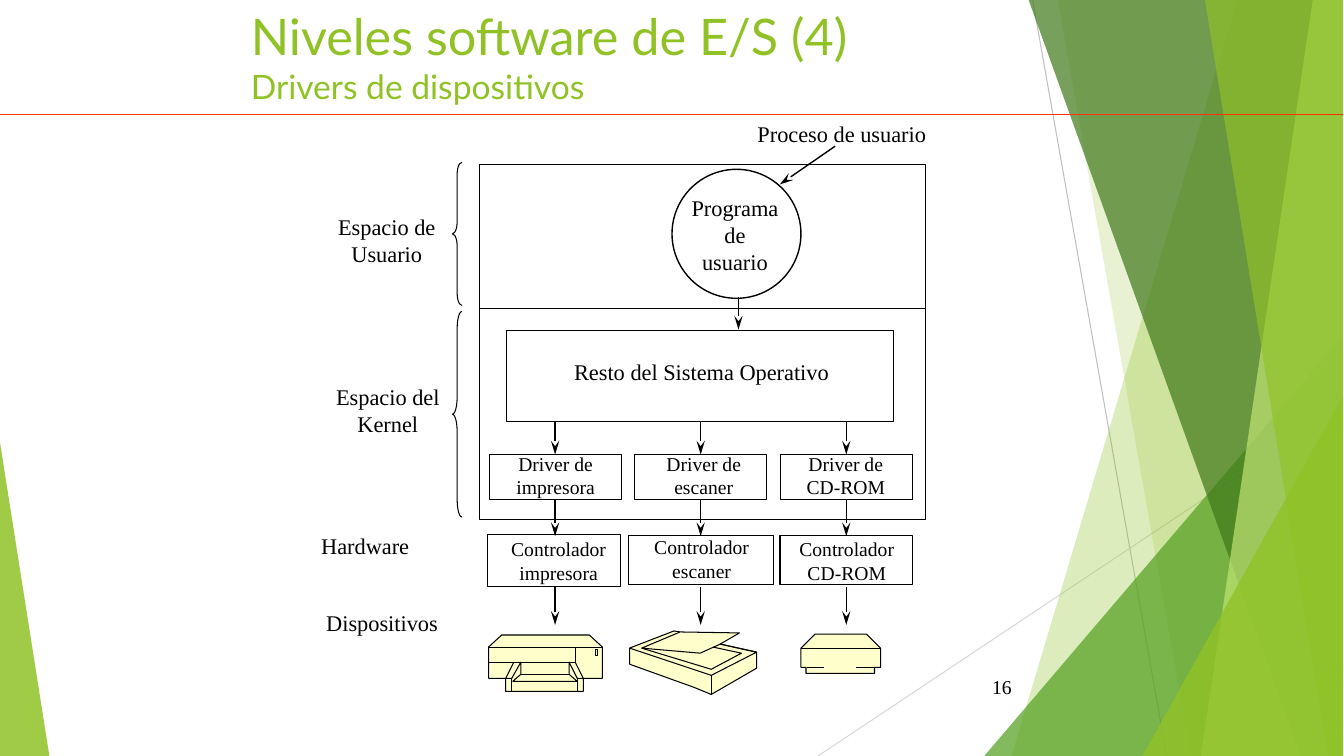
from dataclasses import dataclass
from lxml.etree import SubElement
from pptx import Presentation
from pptx.dml.color import RGBColor
from pptx.enum.shapes import MSO_CONNECTOR, MSO_SHAPE
from pptx.enum.text import MSO_ANCHOR, MSO_AUTO_SIZE, PP_ALIGN
from pptx.oxml.ns import qn
from pptx.util import Inches, Pt


@dataclass(frozen=True)
class Theme:
    lime: str = "90C226"
    leaf: str = "54A021"
    moss: str = "3F7819"
    pale: str = "C0E474"
    red: str = "FF3300"
    ink: str = "000000"
    cream: str = "FFFFCC"
    gray: str = "BFBFBF"
    mist: str = "D9D9D9"
    head: str = "Lato"
    body: str = "Times New Roman"
    title: int = 36
    sub: int = 24
    big: int = 16
    small: int = 14
    thin: float = 0.75
    bold: float = 1


THEME = Theme()
COLS, ROWS = 133.4, 75  # grid of square cells
EDGE = 133.3
LEFT, MID, RIGHT = PP_ALIGN.LEFT, PP_ALIGN.CENTER, PP_ALIGN.RIGHT


def cell(num):
    return Inches(num / 10)


def cells(*nums):
    return [cell(num) for num in nums]


def paint(shape, fill=None, alpha=100, line=None, width=THEME.thin):
    shape.shadow.inherit = False
    if fill:
        shape.fill.solid()
        shape.fill.fore_color.rgb = RGBColor.from_string(fill)
        if alpha < 100:
            color = shape.element.spPr.find(qn("a:solidFill"))[0]
            SubElement(color, qn("a:alpha"), val=str(alpha * 1000))
    else:
        shape.fill.background()
    if line:
        shape.line.color.rgb = RGBColor.from_string(line)
        shape.line.width = Pt(width)
    else:
        shape.line.fill.background()
    return shape


def preset(slide, kind, box, **look):
    return paint(slide.shapes.add_shape(kind, *cells(*box)), **look)


def outline(slide, *runs, close=False, **look):
    runs = [[cells(*spot) for spot in run] for run in runs]
    pen = slide.shapes.build_freeform(*runs[0][0], scale=1.0)
    for num, run in enumerate(runs):
        if num:
            pen.move_to(*run[0])
        pen.add_line_segments(run[1:], close=close)
    return paint(pen.convert_to_shape(), **look)


def rule(slide, start, end, color=THEME.ink, width=THEME.thin, arrow=False):
    line = slide.shapes.add_connector(
        MSO_CONNECTOR.STRAIGHT, *cells(*start, *end))
    line.line.color.rgb = RGBColor.from_string(color)
    line.line.width = Pt(width)
    props = line.element.spPr
    if arrow:
        SubElement(props.find(qn("a:ln")), qn("a:tailEnd"),
                   type="stealth", w="med", len="lg")
    SubElement(props, qn("a:effectLst"))


def arrow(slide, start, end):
    rule(slide, start, end, width=THEME.bold, arrow=True)


def text(shape, runs, font=THEME.body, color=THEME.ink, align=LEFT,
         anchor=MSO_ANCHOR.TOP):
    """Put (words, size) runs in one paragraph, one line per run."""
    frame = shape.text_frame
    frame.word_wrap = True
    frame.auto_size = MSO_AUTO_SIZE.NONE
    frame.vertical_anchor = anchor
    para = frame.paragraphs[0]
    para.alignment = align
    for num, (words, size) in enumerate(runs):
        if num:
            para.add_line_break()
        run = para.add_run()
        run.text = words
        run.font.name = font
        run.font.size = Pt(size)
        run.font.color.rgb = RGBColor.from_string(color)


def label(slide, words, box, size=THEME.big, **form):
    text(slide.shapes.add_textbox(*cells(*box)), [(words, size)], **form)


def backdrop(slide):
    rule(slide, (102.5, 0), (115.8, ROWS), THEME.gray)
    rule(slide, (EDGE, 40.3), (81.2, ROWS), THEME.mist)

    def band(top, foot, fill, alpha):
        outline(slide, [(top, 0), (EDGE, 0), (EDGE, ROWS), (foot, ROWS)],
                close=True, fill=fill, alpha=alpha)

    def wedge(left, top, wide, fill, alpha, peak=1):
        shape = preset(slide, MSO_SHAPE.ISOSCELES_TRIANGLE,
                       (left, top, wide, ROWS - top), fill=fill, alpha=alpha)
        shape.adjustments[0] = peak

    band(122.8, 100.4, THEME.lime, 30)
    band(105, 118.2, THEME.lime, 20)
    wedge(97.7, 33.3, 35.6, THEME.leaf, 72)
    band(102.1, 129.1, THEME.moss, 70)
    band(130.3, 119.2, THEME.pale, 70)
    band(119.6, 131.8, THEME.lime, 65)
    wedge(113.4, 39.3, 19.9, THEME.lime, 80)
    wedge(0, 43.9, 4.9, THEME.lime, 85, peak=0)
    rule(slide, (0, 11.4), (EDGE, 11.4), THEME.red)


def gadget(slide, body, *lines):
    outline(slide, body, close=True, fill=THEME.cream, line=THEME.ink)
    outline(slide, *lines, line=THEME.ink)


def gadgets(slide):
    # Printer
    gadget(
        slide,
        [(49.8, 63), (58.5, 63), (59.8, 64.2), (59.8, 67.3), (57.9, 67.3),
         (57.9, 68.6), (50.2, 68.6), (50.2, 67.3), (48.5, 67.3), (48.5, 64.2)],
        [(48.5, 64.2), (59.8, 64.2)],
        [(57.1, 64.2), (57.1, 65.7), (48.5, 65.7)],
        [(50.8, 67.3), (50.8, 68.6)],
        [(57.3, 67.3), (57.3, 68.6)],
        [(56.5, 66.9), (56.5, 65.7), (57.3, 67.3), (57.9, 67.3), (57.1, 65.7)],
        [(56.5, 66.9), (57.3, 67.6), (50.9, 67.6), (51.7, 66.9), (51.7, 65.7),
         (50.8, 67.3), (50.2, 67.3), (51, 65.7)],
        [(59.1, 64.4), (59.3, 64.4), (59.3, 65), (59.1, 65), (59.1, 64.4)],
        [(51.7, 66.9), (56.5, 66.9)])
    # Scanner
    gadget(
        slide,
        [(71.5, 63.9), (75.1, 64.7), (75.1, 66.3), (70.6, 68.9), (68.9, 68.2),
         (62.5, 65.9), (62.5, 64.3), (66.9, 62.6), (67.5, 62.7), (73.4, 62.8)],
        [(71.5, 63.9), (75.1, 64.7), (70.6, 67), (62.5, 64.3)],
        [(67.5, 62.7), (63.7, 64.3), (69.5, 64.8), (71.5, 63.9)],
        [(70.8, 64.2), (73.6, 64.8), (70.6, 66.4), (63.7, 64.3)],
        [(70.6, 68.9), (70.6, 67)])
    # CD-ROM drive
    gadget(
        slide,
        [(87.4, 64.3), (86, 62.9), (80.9, 62.9), (79.5, 64.3), (79.5, 66.2),
         (80, 66.2), (80, 66.8), (86.8, 66.8), (86.8, 66.2), (87.4, 66.2)],
        [(80.1, 66.2), (81.8, 66.2)],
        [(86.8, 66.2), (85, 66.2)],
        [(79.5, 64.3), (87.4, 64.3)])


def spaces(slide):
    pen = dict(line=THEME.ink)
    # User and kernel frames with their braces
    preset(slide, MSO_SHAPE.RECTANGLE, (47.6, 16.3, 44.3, 35.2), **pen)
    rule(slide, (47.6, 30.6), (91.9, 30.6))
    preset(slide, MSO_SHAPE.RECTANGLE, (50.3, 32.8, 38.4, 9), **pen)
    for top, high, bend in ((16.1, 14.2, 1.25), (30.9, 20.4, 1.78)):
        brace = preset(slide, MSO_SHAPE.LEFT_BRACE,
                       (44.9, top, 0.95, high), **pen)
        brace.adjustments[0] = bend
    preset(slide, MSO_SHAPE.OVAL, (66.7, 16.8, 12.8, 12.8),
           width=THEME.bold, **pen)
    arrow(slide, (82.9, 14.5), (77.4, 18.3))
    arrow(slide, (73.3, 29.5), (73.3, 32.7))
    # Labels
    for words, box, align in (
            ("Proceso de usuario", (74.2, 11.4, 19.4, 3.7), LEFT),
            ("Programa de usuario", (67.6, 18.8, 10.7, 9), MID),
            ("Resto del Sistema Operativo", (56, 35, 28.1, 3.7), LEFT),
            ("Espacio de Usuario", (31.6, 20.7, 13.6, 6.4), MID),
            ("Espacio del Kernel", (31.7, 37.5, 13.6, 6.4), MID),
            ("Hardware", (30.9, 52.3, 13.6, 3.7), LEFT),
            ("Dispositivos", (31.4, 59.9, 13.6, 3.7), LEFT)):
        label(slide, words, box, align=align)


def drivers(slide):
    form = dict(size=THEME.small, align=MID)
    # Name, driver text left, control text spot, control box
    parts = (("impresora", 50.2, (48.3, 52.8), (48.4, 53, 13.2, 5.2)),
             ("escaner", 64.9, (62.5, 52.6), (62.4, 53.1, 14.4, 4.9)),
             ("CD-ROM", 79, (76.9, 52.8), (77.4, 53.1, 13.2, 4.9)))
    for num, (name, left, spot, box) in enumerate(parts):
        mid = 55.1 + 14.45 * num
        preset(slide, MSO_SHAPE.RECTANGLE, (mid - 6.55, 45.05, 13.1, 4.5),
               line=THEME.ink)
        preset(slide, MSO_SHAPE.RECTANGLE, box,
               line=THEME.ink, width=THEME.bold)
        for top, foot in ((41.8, 45.1), (49.5, 53.2), (58.2, 62)):
            arrow(slide, (mid, top), (mid, foot))
        label(slide, f"Driver de {name}", (left, 44.3, 9.9, 5.7), **form)
        label(slide, f"Controlador {name}", (*spot, 14.3, 5.7), **form)


def main():
    deck = Presentation()
    deck.slide_width, deck.slide_height = cells(COLS, ROWS)
    slide = deck.slides.add_slide(deck.slide_layouts[5])
    backdrop(slide)
    # Title
    title = slide.shapes.title
    title.left, title.top, title.width, title.height = cells(23.9, 0, 85, 12.5)
    text(title, [("Niveles software de E/S (4)", THEME.title),
                 ("Drivers de dispositivos", THEME.sub)],
         font=THEME.head, color=THEME.lime)
    # Diagram
    spaces(slide)
    drivers(slide)
    gadgets(slide)
    # Page number
    label(slide, "16", (93.9, 66.1, 7.5, 4), size=THEME.small, align=RIGHT,
          anchor=MSO_ANCHOR.MIDDLE)
    deck.save("out.pptx")


if __name__ == "__main__":
    main()
